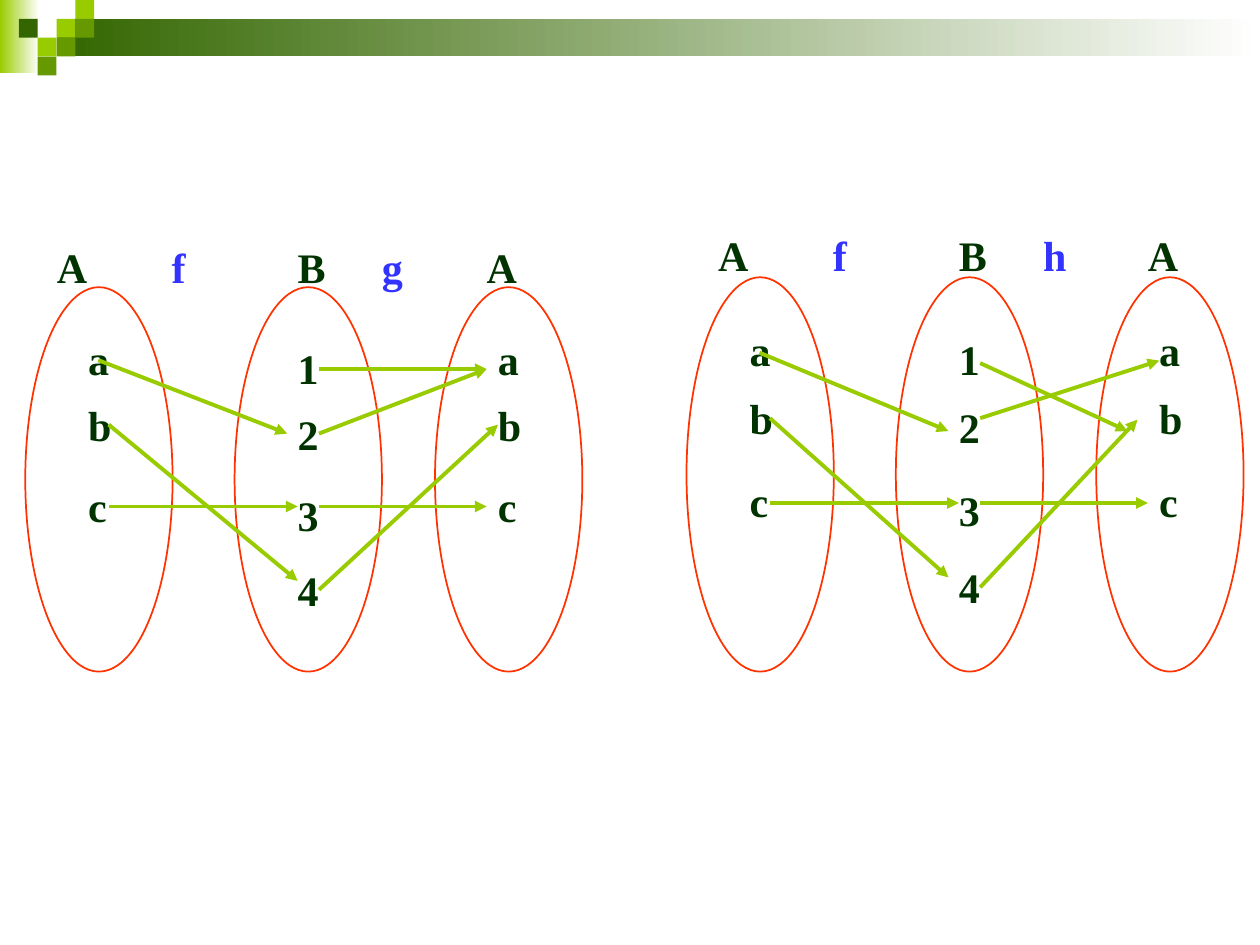
"""Two arrow diagrams of composed functions between the sets A, B and A."""
from lxml import etree
from pptx import Presentation
from pptx.dml.color import RGBColor
from pptx.enum.shapes import MSO_CONNECTOR, MSO_SHAPE
from pptx.oxml.ns import qn
from pptx.util import Cm, Pt

RECT, OVAL = MSO_SHAPE.RECTANGLE, MSO_SHAPE.OVAL
LINE = MSO_CONNECTOR.STRAIGHT
WHITE = RGBColor(0xFF, 0xFF, 0xFF)
LIME = RGBColor(0x99, 0xCC, 0x00)
GREEN = RGBColor(0x66, 0x99, 0x00)
DARK = RGBColor(0x33, 0x66, 0x00)
RED = RGBColor(0xFF, 0x33, 0x00)
BLUE = RGBColor(0x33, 0x33, 0xFF)
INK = RGBColor(0x00, 0x33, 0x00)
FONT = "Times New Roman"

UNIT = 0.38
BANDS = [(0, 0, 0.79, 1.47, LIME), (1.14, 0.38, 24.26, 0.76, DARK)]
TILES = [(3, 1, LIME), (4, 0, LIME), (4, 1, GREEN), (2, 2, LIME),
         (1, 1, DARK), (3, 2, GREEN), (2, 3, GREEN)]

BASE, WIDE, INDENT, HEAD = 7.75, 2.97, 1.27, -0.93
ABC = [("a", 0.93), ("b", 2.26), ("c", 3.89)]
NUMS = [("1", 1.11), ("2", 2.45), ("3", 4.07), ("4", 5.59)]
SETS = [(0, ABC), (4.22, NUMS), (8.26, ABC)]
NAMES = [("A", 0.64), ("B", 5.49), ("A", 9.3)]
MAPS = [2.95, 7.19]

CHARTS = [
    {"left": 0.51, "top": 5.79, "high": 7.75, "maps": "fg", "arrows": [
        (1.47, 1.47, 5.28, 2.95), (1.68, 4.42, 5.49, 4.42),
        (1.68, 2.77, 5.49, 5.92), (5.92, 2.95, 9.3, 1.65),
        (5.92, 4.42, 9.3, 4.42), (5.92, 6.1, 9.53, 2.77),
        (5.92, 1.65, 9.3, 1.65)]},
    {"left": 13.84, "top": 5.59, "high": 7.95, "maps": "fh", "arrows": [
        (1.47, 1.52, 5.28, 3.1), (1.68, 4.55, 5.49, 4.55),
        (1.68, 2.84, 5.28, 6.05), (5.92, 1.73, 8.89, 3.1),
        (5.92, 4.55, 9.3, 4.55), (5.92, 2.84, 9.53, 1.68),
        (5.92, 6.25, 9.09, 2.87)]},
]


def add_form(group, kind, x, y, w, h):
    form = group.add_shape(kind, Cm(x), Cm(y), Cm(w), Cm(h))
    form.shadow.inherit = False
    return form


def add_band(group, x, y, w, h, color):
    band = add_form(group, RECT, x, y, w, h)
    band.line.fill.background()
    band.fill.gradient()
    band.fill.gradient_angle = 0
    for stop, tint in zip(band.fill.gradient_stops, (color, WHITE)):
        stop.color.rgb = tint


def add_tile(group, col, row, color):
    tile = add_form(group, RECT, col * UNIT, row * UNIT, UNIT, UNIT)
    tile.line.fill.background()
    tile.fill.solid()
    tile.fill.fore_color.rgb = color


def add_oval(group, x, y, high):
    oval = add_form(group, OVAL, x, y, WIDE, high)
    oval.fill.background()
    oval.line.color.rgb = RED
    oval.line.width = Pt(1)


def add_label(group, text, x, y, color):
    frame = group.add_textbox(Cm(x), Cm(y), Cm(1.07), Cm(1.02)).text_frame
    frame.word_wrap = True
    frame.margin_left = frame.margin_right = 0
    frame.margin_top = frame.margin_bottom = 0
    para = frame.paragraphs[0]
    para.text = text
    para.font.name = FONT
    para.font.size = Pt(24)
    para.font.bold = True
    para.font.color.rgb = color


def add_arrow(group, x1, y1, x2, y2):
    arrow = group.add_connector(LINE, Cm(x1), Cm(y1), Cm(x2), Cm(y2))
    arrow.line.color.rgb = LIME
    arrow.line.width = Pt(2.25)
    props = arrow.element.spPr
    etree.SubElement(props.find(qn("a:ln")), qn("a:tailEnd"), type="triangle")
    etree.SubElement(props, qn("a:effectLst"))


def add_chart(group, chart):
    left, top, high = chart["left"], chart["top"], chart["high"]
    scale = high / BASE
    for dx, items in SETS:
        add_oval(group, left + dx, top, high)
        for text, dy in items:
            add_label(group, text, left + dx + INDENT, top + dy * scale, INK)
    for x1, y1, x2, y2 in chart["arrows"]:
        add_arrow(group, left + x1, top + y1, left + x2, top + y2)
    heads = [(text, dx, INK) for text, dx in NAMES]
    heads += [(text, dx, BLUE) for text, dx in zip(chart["maps"], MAPS)]
    for text, dx, color in heads:
        add_label(group, text, left + dx, top + HEAD * scale, color)


def main():
    deck = Presentation()
    deck.slide_width, deck.slide_height = Cm(25.4), Cm(19.05)
    shapes = deck.slides.add_slide(deck.slide_layouts[6]).shapes
    trim = shapes.add_group_shape().shapes
    for band in BANDS:
        add_band(trim, *band)
    for tile in TILES:
        add_tile(trim, *tile)
    for chart in reversed(CHARTS):
        add_chart(shapes.add_group_shape().shapes, chart)
    deck.save("out.pptx")


if __name__ == "__main__":
    main()
